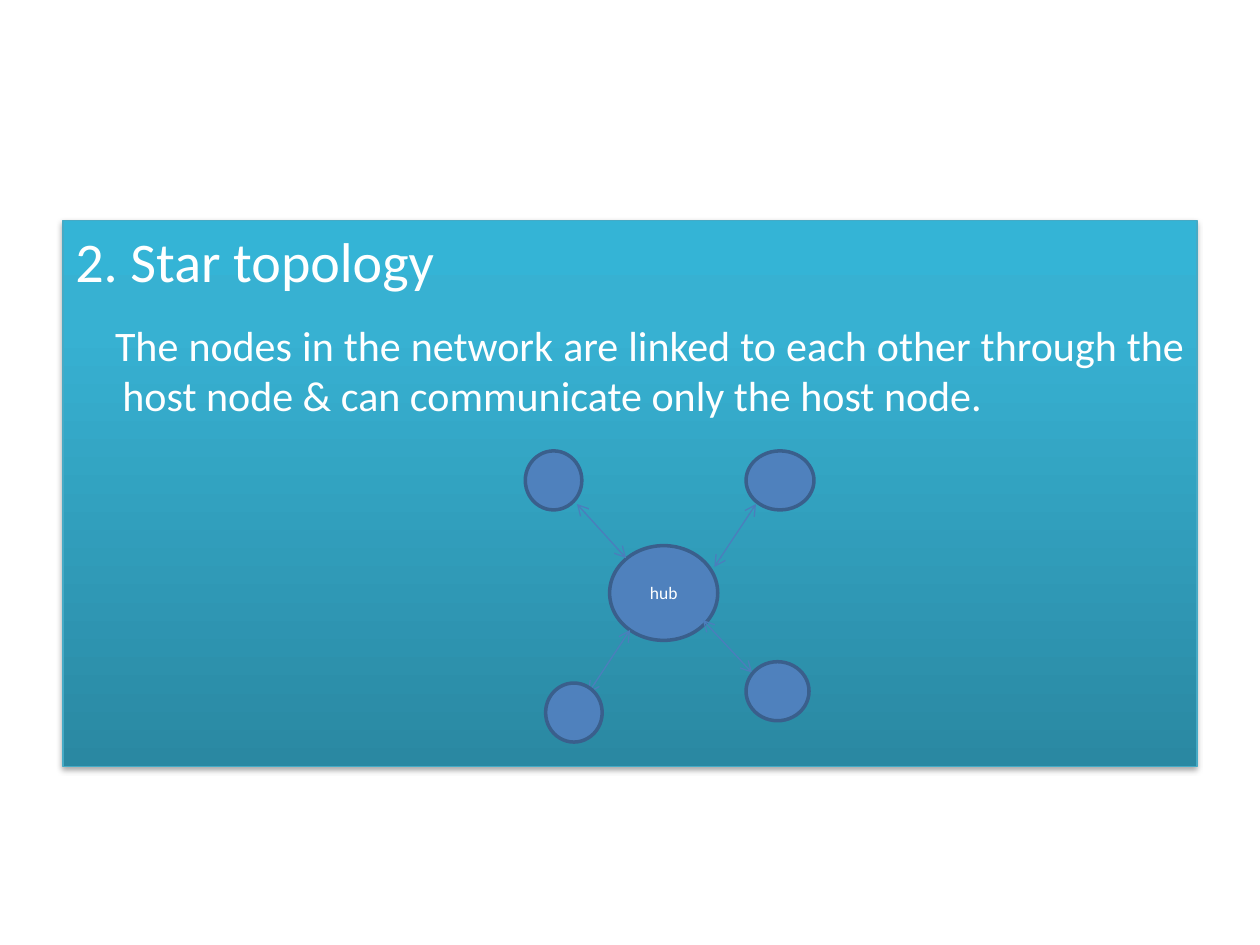
from dataclasses import dataclass

from lxml import etree
from pptx import Presentation
from pptx.dml.color import RGBColor
from pptx.enum import shapes, text
from pptx.oxml import ns, parse_xml
from pptx.util import Cm, Pt

WHITE, BLUE, EDGE, LINK = "FFFFFF", "4F81BD", "3A5F8C", "4B7EBC"
SMALL = 1.19  # height of every outer node


@dataclass
class Spoke:
    left: float
    top: float
    width: float
    start: tuple[float, float]
    end: tuple[float, float]


SPOKES = [
    Spoke(10.59, 9.09, 1.14, (12.62, 11.25), (11.63, 10.16)),
    Spoke(15.04, 13.34, 1.27, (15.16, 13.56), (14.17, 12.5)),
    Spoke(11, 13.77, 1.14, (11.86, 13.97), (12.7, 12.7)),
    Spoke(15.04, 9.09, 1.37, (14.4, 11.43), (15.24, 10.16)),
]

deck = Presentation()
deck.slide_width, deck.slide_height = Cm(25.4), Cm(19.05)
slide = deck.slides.add_slide(deck.slide_layouts[6])


def paint(target, tone: str) -> None:
    target.rgb = RGBColor.from_string(tone)


def edge(line, tone: str, width: float) -> None:
    paint(line.color, tone)
    line.width = Pt(width)


def shape(kind, left: float, top: float, width: float, height: float):
    item = slide.shapes.add_shape(kind, Cm(left), Cm(top), Cm(width), Cm(height))
    item.shadow.inherit = False
    return item


def write(para, words: str, size: float, **form) -> None:
    run = para.add_run()
    run.text = words
    for key, value in {"name": "Calibri", "size": Pt(size)}.items():
        setattr(run.font, key, value)
    paint(run.font.color, WHITE)
    for key, value in form.items():
        setattr(para, key, value)


def node(left: float, top: float, width: float, height: float):
    item = shape(shapes.MSO_SHAPE.OVAL, left, top, width, height)
    item.fill.solid()
    paint(item.fill.fore_color, BLUE)
    edge(item.line, EDGE, 2)
    return item


def link(start: tuple[float, float], end: tuple[float, float]) -> None:
    item = slide.shapes.add_connector(
        shapes.MSO_CONNECTOR.STRAIGHT, *map(Cm, start + end))
    edge(item.line, LINK, 0.75)
    for tip in ("a:headEnd", "a:tailEnd"):
        etree.SubElement(item.line._ln, ns.qn(tip), type="arrow")
    etree.SubElement(item._element.spPr, ns.qn("a:effectLst"))


# Panel with gradient and soft shadow
panel = shape(shapes.MSO_SHAPE.RECTANGLE, 1.27, 4.45, 22.86, 11)
edge(panel.line, "46AAC5", 0.75)
stops = "".join(
    f'<a:gs pos="{place * 1000}"><a:srgbClr val="{tone}"/></a:gs>'
    for place, tone in [(0, "2A88A2"), (80, "37B1D2"), (100, "34B4D6")])
props = panel._element.spPr
props.find(ns.qn("a:ln")).addprevious(parse_xml(
    f'<a:gradFill {ns.nsdecls("a")} rotWithShape="1"><a:gsLst>{stops}</a:gsLst>'
    '<a:lin ang="16200000" scaled="0"/></a:gradFill>'))
props.find(ns.qn("a:effectLst")).append(parse_xml(
    f'<a:outerShdw {ns.nsdecls("a")} blurRad="{Pt(3.1)}" dist="{Pt(1.8)}" '
    'dir="5400000" rotWithShape="0"><a:srgbClr val="000000">'
    '<a:alpha val="35000"/></a:srgbClr></a:outerShdw>'))

# Heading and body
frame = panel.text_frame
frame.word_wrap = True
frame.vertical_anchor = text.MSO_ANCHOR.TOP
head, body = frame.paragraphs[0], frame.add_paragraph()
write(head, "2. Star topology", 32, alignment=text.PP_ALIGN.LEFT)
write(body, "The nodes in the network are linked to each other through the "
      "host node & can communicate only the host node.", 24,
      alignment=text.PP_ALIGN.JUSTIFY, space_before=Pt(14.3))
for para, first in ((head, -0.95), (body, -0.15)):
    para._p.get_or_add_pPr().set("marL", str(Cm(0.95)))
    para._p.get_or_add_pPr().set("indent", str(Cm(first)))

# Hub
hub = node(12.29, 11, 2.18, 1.91)
hub.text_frame.vertical_anchor = text.MSO_ANCHOR.MIDDLE
write(hub.text_frame.paragraphs[0], "hub", 10, alignment=text.PP_ALIGN.CENTER)

# Spokes
for spoke in SPOKES:
    link(spoke.start, spoke.end)
    node(spoke.left, spoke.top, spoke.width, SMALL)

deck.save("out.pptx")
